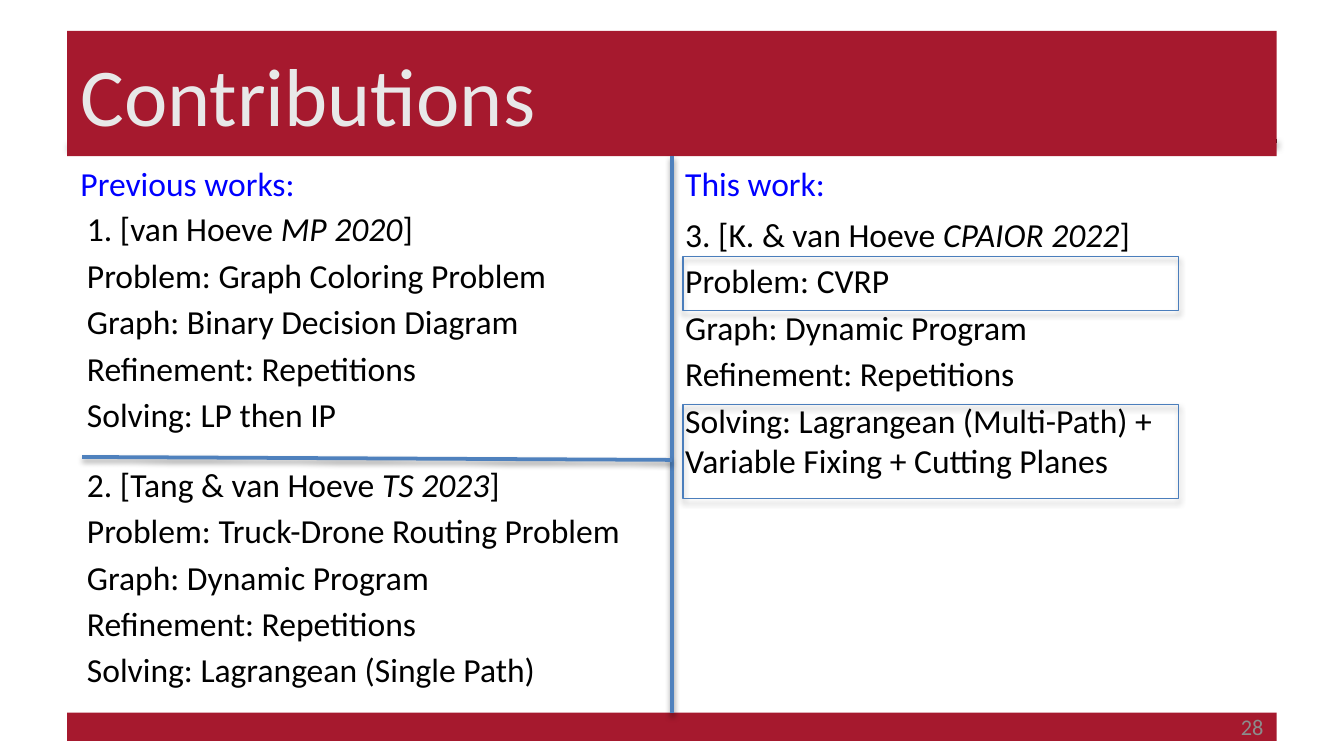
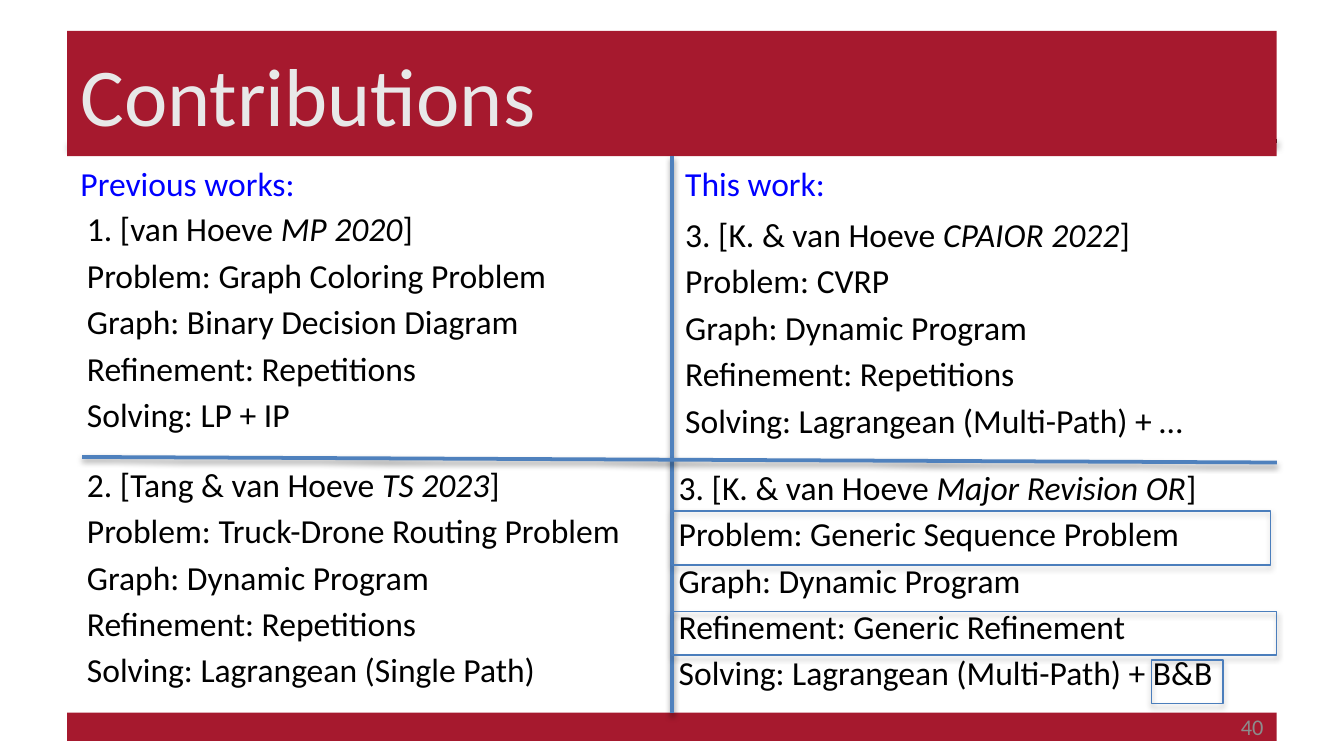
from lxml.etree import SubElement
from pptx import Presentation
from pptx.dml.color import RGBColor
from pptx.enum.shapes import MSO_CONNECTOR, MSO_SHAPE
from pptx.enum.text import MSO_ANCHOR, MSO_AUTO_SIZE, PP_ALIGN
from pptx.oxml.ns import qn
from pptx.util import Pt

CRIMSON = RGBColor(0xA6, 0x19, 0x2E)
TITLE_GREY = RGBColor(0xE8, 0xE8, 0xE8)
NUMBER_GREY = RGBColor(0x8C, 0x8C, 0x8C)
HEADING_BLUE = RGBColor(0x00, 0x00, 0xFF)
RULE_BLUE = RGBColor(0x4F, 0x81, 0xBD)
FRAME_BLUE = RGBColor(0x4B, 0x7E, 0xBC)
BLACK = RGBColor(0x00, 0x00, 0x00)

LEFT, MIDDLE, RIGHT = 36, 360, 684
TITLE_TOP, TITLE_HEIGHT = 16.5, 67.2
BODY_TOP = TITLE_TOP + TITLE_HEIGHT
FOOTER_TOP, FOOTER_HEIGHT = 381.8, 15.2
WORK_HEIGHT = 134
ITEM_GAP = 3.3

TITLE_FONT = {"name": "Calibri", "size": Pt(44)}
BODY_FONT = {"name": "Calibri", "size": Pt(18)}
NUMBER_FONT = {"name": "Calibri", "size": Pt(12)}


def add_run(p, text, font, color, italic=False):
    r = p.add_run()
    r.text = text
    for name, value in {**font, "italic": italic}.items():
        setattr(r.font, name, value)
    r.font.color.rgb = color


def add_shadow(sp, opacity, distance):
    """Drop a soft black shadow straight down; call after the line is set."""
    effects = SubElement(sp._element.spPr, qn("a:effectLst"))
    shadow = SubElement(effects, qn("a:outerShdw"), blurRad=str(Pt(3.1)),
                        dist=str(Pt(distance)), dir="5400000",
                        algn="ctr", rotWithShape="0")
    black = SubElement(shadow, qn("a:srgbClr"), val=str(BLACK))
    SubElement(black, qn("a:alpha"), val=str(opacity * 1000))


def add_rule(s, x1, y1, x2, y2, color=RULE_BLUE):
    line = s.shapes.add_connector(MSO_CONNECTOR.STRAIGHT,
                                  Pt(x1), Pt(y1), Pt(x2), Pt(y2))
    line.line.color.rgb = color
    line.line.width = Pt(2)
    add_shadow(line, 38, 1.6)


def add_band(s, top, height, text, font, color, align):
    sp = s.shapes.add_shape(MSO_SHAPE.RECTANGLE, Pt(LEFT), Pt(top),
                            Pt(RIGHT - LEFT), Pt(height))
    sp.fill.solid()
    sp.fill.fore_color.rgb = CRIMSON
    sp.line.fill.background()
    sp.shadow.inherit = False
    tf = sp.text_frame
    tf.vertical_anchor = MSO_ANCHOR.MIDDLE
    p = tf.paragraphs[0]
    p.alignment = align
    add_run(p, text, font, color)


def add_frame(s, left, top, width, height):
    """Outline one statement to highlight it."""
    sp = s.shapes.add_shape(MSO_SHAPE.RECTANGLE, Pt(left), Pt(top),
                            Pt(width), Pt(height))
    sp.fill.background()
    sp.line.color.rgb = FRAME_BLUE
    sp.line.width = Pt(0.75)
    add_shadow(sp, 35, 1.8)


def add_text_frame(s, left, top, width, height):
    tf = s.shapes.add_textbox(Pt(left), Pt(top), Pt(width), Pt(height)).text_frame
    tf.word_wrap = True
    tf.auto_size = MSO_AUTO_SIZE.SHAPE_TO_FIT_TEXT
    return tf


def add_heading(s, left, width, text):
    tf = add_text_frame(s, left, BODY_TOP, width, 29)
    add_run(tf.paragraphs[0], text, BODY_FONT, HEADING_BLUE)


def add_work(s, left, top, width, authors, venue, problem, graph, refinement,
             solving, height=WORK_HEIGHT):
    tf = add_text_frame(s, left, top, width, height)
    p = tf.paragraphs[0]
    add_run(p, f"{authors} ", BODY_FONT, BLACK)
    add_run(p, venue, BODY_FONT, BLACK, italic=True)
    add_run(p, "]", BODY_FONT, BLACK)
    aspects = {"Problem": problem, "Graph": graph,
               "Refinement": refinement, "Solving": solving}
    for aspect, value in aspects.items():
        p = tf.add_paragraph()
        p.space_before = Pt(ITEM_GAP)
        add_run(p, f"{aspect}: {value}", BODY_FONT, BLACK)


def add_contributions(prs, number, coloring_solving, cvrp_solving, cvrp_height):
    """Add a slide with everything the two comparisons have in common."""
    s = prs.slides.add_slide(prs.slide_layouts[6])
    add_rule(s, LEFT, 77, RIGHT, 75.6, BLACK)
    add_band(s, FOOTER_TOP, FOOTER_HEIGHT, number, NUMBER_FONT, NUMBER_GREY,
             PP_ALIGN.RIGHT)
    add_band(s, TITLE_TOP, TITLE_HEIGHT, "Contributions", TITLE_FONT, TITLE_GREY,
             PP_ALIGN.LEFT)
    add_rule(s, MIDDLE, BODY_TOP, MIDDLE, 382)
    add_heading(s, LEFT, 311, "Previous works:")
    add_heading(s, MIDDLE, 161, "This work:")
    add_work(s, 39.5, 108, 311, "1. [van Hoeve", "MP 2020",
             "Graph Coloring Problem", "Binary Decision Diagram",
             "Repetitions", coloring_solving)
    add_work(s, 39.5, 244.8, 311, "2. [Tang & van Hoeve", "TS 2023",
             "Truck-Drone Routing Problem", "Dynamic Program",
             "Repetitions", "Lagrangean (Single Path)")
    add_work(s, MIDDLE, 111, 324, "3. [K. & van Hoeve", "CPAIOR 2022",
             "CVRP", "Dynamic Program", "Repetitions",
             f"Lagrangean (Multi-Path) + {cvrp_solving}", cvrp_height)
    return s


def add_cvrp_slide(prs):
    s = add_contributions(prs, "28", "LP then IP",
                          "Variable Fixing + Cutting Planes", 155.5)
    for top, height in ((137.5, 29), (216.8, 50.4)):
        add_frame(s, 365.8, top, 265.7, height)
    add_rule(s, 44, 244.8, MIDDLE, 246.4)


def add_generic_slide(prs):
    s = add_contributions(prs, "40", "LP + IP", "…", WORK_HEIGHT)
    add_rule(s, 44, 244.8, RIGHT, 247.8)
    add_work(s, 356.5, 246.4, 324, "3. [K. & van Hoeve", "Major Revision OR",
             "Generic Sequence Problem", "Dynamic Program",
             "Generic Refinement", "Lagrangean (Multi-Path) + B&B")
    for left, top, width, height in ((MIDDLE, 273.8, 320.5, 29),
                                     (MIDDLE, 327.6, 324, 23.3),
                                     (617, 353.7, 38.2, 23.3)):
        add_frame(s, left, top, width, height)


def main():
    prs = Presentation()
    prs.slide_width, prs.slide_height = Pt(720), Pt(405)
    add_cvrp_slide(prs)
    add_generic_slide(prs)
    prs.save("out.pptx")


if __name__ == "__main__":
    main()
